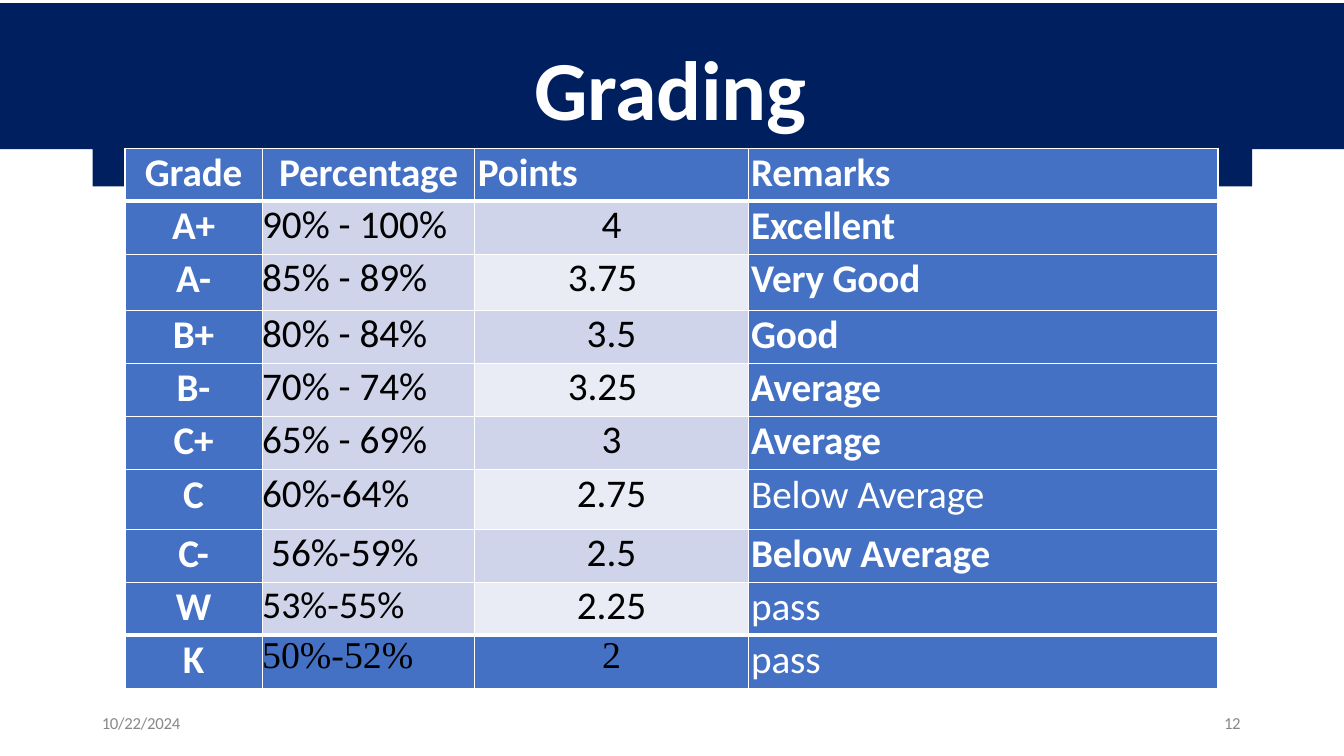
"""Build the Grading slide: a banner with a title above a table of grades."""
from dataclasses import dataclass

from lxml import etree
from pptx import Presentation
from pptx.dml.color import RGBColor
from pptx.enum.text import MSO_ANCHOR, MSO_AUTO_SIZE, PP_ALIGN
from pptx.oxml.ns import qn
from pptx.util import Emu, Inches, Pt

LEFT, CENTER, RIGHT = PP_ALIGN.LEFT, PP_ALIGN.CENTER, PP_ALIGN.RIGHT
TOP = MSO_ANCHOR.TOP
NO_FIT = MSO_AUTO_SIZE.NONE


@dataclass(frozen=True)
class Theme:
    navy: str = "001F5F"
    blue: str = "4471C4"
    band: str = "CFD4EA"
    pale: str = "E9EBF5"
    white: str = "FFFFFF"
    black: str = "000000"
    gray: str = "888888"
    sans: str = "Calibri"
    serif: str = "Times New Roman"
    title: int = 60
    body: int = 28
    small_body: int = 27
    footer: int = 12


theme = Theme()
deck = Presentation()
deck.slide_width, deck.slide_height = Inches(13.33), Inches(7.5)
GRID_COLUMNS = 1333
UNIT = deck.slide_width / GRID_COLUMNS


def grid(*steps):
    return [Emu(round(step * UNIT)) for step in steps]


def write(frame, text, size, color, bold=False, align=LEFT, font=theme.sans, spacing=0):
    frame.text = text
    para = frame.paragraphs[0]
    para.alignment = align
    span = para.runs[0]
    span.font.name, span.font.size, span.font.bold = font, Pt(size), bold
    span.font.color.rgb = RGBColor.from_string(color)
    span.font._element.set("spc", str(spacing))


page = deck.slides.add_slide(deck.slide_layouts[5])

outline = [grid(*point) for point in (
    (1333, 3), (0, 3), (0, 148), (92, 148), (92, 185), (1242, 185), (1242, 148), (1333, 148))]
builder = page.shapes.build_freeform(*outline[0], scale=1.0)
builder.add_line_segments(outline[1:], close=True)
banner = builder.convert_to_shape()
banner.shadow.inherit = False
banner.fill.solid()
banner.fill.fore_color.rgb = RGBColor.from_string(theme.navy)
banner.line.fill.background()

title = page.shapes.title
title.element.addprevious(banner.element)
footers = [("10/22/2024", (101, 707, 84, 20)), ("12", (1214, 707, 27, 20))]
texts = [(title, "Grading", (530, 36, 274, 103), theme.title, theme.white, True)]
for words, place in footers:
    box = page.shapes.add_textbox(*grid(*place))
    texts.append((box, words, place, theme.footer, theme.gray, False))
for box, words, place, size, color, bold in texts:
    box.left, box.top, box.width, box.height = grid(*place)
    frame = box.text_frame
    frame.margin_left = frame.margin_top = frame.margin_right = frame.margin_bottom = 0
    frame.vertical_anchor, frame.word_wrap, frame.auto_size = TOP, True, NO_FIT
    write(frame, words, size, color, bold, spacing=-20)

grades = [
    ("Grade", "Percentage", "Points", "Remarks"),
    ("A+", "90% - 100%", "4", "Excellent"),
    ("A-", "85% - 89%", "3.75", "Very Good"),
    ("B+", "80% - 84%", "3.5", "Good"),
    ("B-", "70% - 74%", "3.25", "Average"),
    ("C+", "65% - 69%", "3", "Average"),
    ("C", "60%-64%", "2.75", "Below Average"),
    ("C-", "56%-59%", "2.5", "Below Average"),
    ("W", "53%-55%", "2.25", "pass"),
    ("K", "50%-52%", "2", "pass"),
]
LAST = len(grades) - 1
GRADE, PERCENTAGE, POINTS, REMARKS = range(4)
TABLE_HEIGHT = 536
column_widths = [136, 211, 271, 466]
tall_rows = {2: 56, 6: 59}
row_height = (TABLE_HEIGHT - sum(tall_rows.values())) / (len(grades) - len(tall_rows))
light_remarks = {6, 8, 9}
right_points = {2, 4}
heavy_edges = {("lnB", 0), ("lnT", 1), ("lnB", LAST - 1), ("lnT", LAST)}

holder = page.shapes.add_table(
    len(grades), len(column_widths), *grid(124, 147, sum(column_widths), TABLE_HEIGHT))
table = holder.table
table.first_row = table.horz_banding = False
for column, width in zip(table.columns, column_widths):
    column.width, = grid(width)

for row, record in enumerate(grades):
    table.rows[row].height, = grid(tall_rows.get(row, row_height))
    for column, words in enumerate(record):
        cell = table.cell(row, column)
        header, last = row == 0, row == LAST
        value = column in (PERCENTAGE, POINTS) and not header
        indent = 3 if column == REMARKS or (header and column == POINTS) else 0
        if words == "56%-59%":
            indent = 9
        cell.margin_left, cell.margin_top = grid(indent, 0 if value else 1)
        cell.margin_right = cell.margin_bottom = 0

        properties = cell._tc.get_or_add_tcPr()
        for edge in ("lnL", "lnR", "lnT", "lnB"):
            weight = Pt(3 if (edge, row) in heavy_edges else 1)
            line = etree.SubElement(properties, qn(f"a:{edge}"), w=str(weight))
            paint = etree.SubElement(line, qn("a:solidFill"))
            etree.SubElement(paint, qn("a:srgbClr"), val=theme.white)

        fill = theme.blue
        if value and not last:
            fill = theme.pale if column == POINTS and row % 2 == 0 else theme.band
        cell.fill.solid()
        cell.fill.fore_color.rgb = RGBColor.from_string(fill)

        align = CENTER if column in (GRADE, POINTS) else LEFT
        if header:
            align = CENTER if column in (GRADE, PERCENTAGE) else LEFT
        elif column == POINTS and row in right_points:
            align = RIGHT
        small = value and (last or words == "53%-55%")
        write(
            cell.text_frame, words,
            theme.small_body if small else theme.body,
            theme.black if value else theme.white,
            bold=not value and not (column == REMARKS and row in light_remarks),
            align=align,
            font=theme.serif if value and last else theme.sans,
            spacing=0 if value else -10)
        if align == RIGHT:
            right_indent, = grid(110)
            cell.text_frame.paragraphs[0]._p.get_or_add_pPr().set("marR", str(right_indent))

deck.save("out.pptx")
